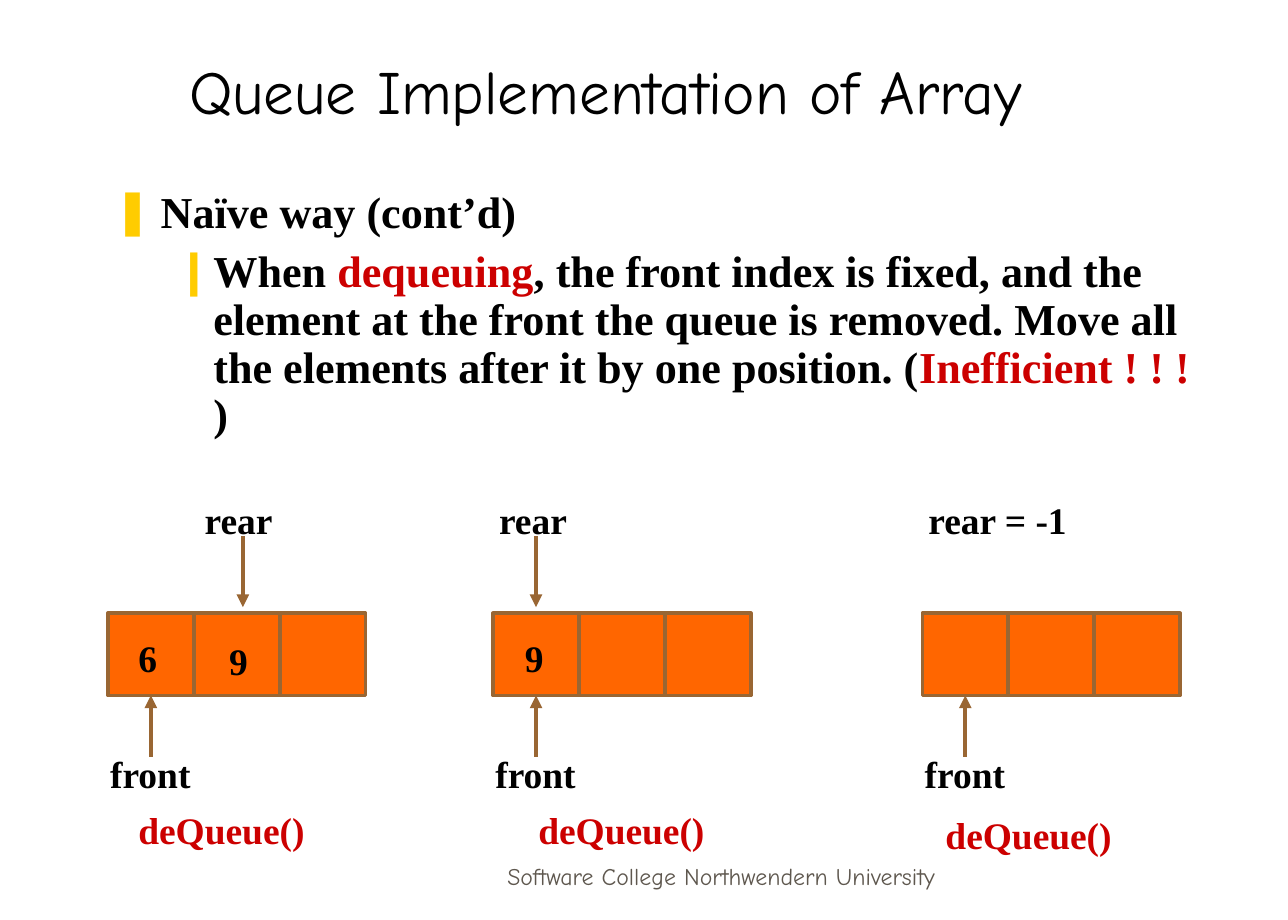
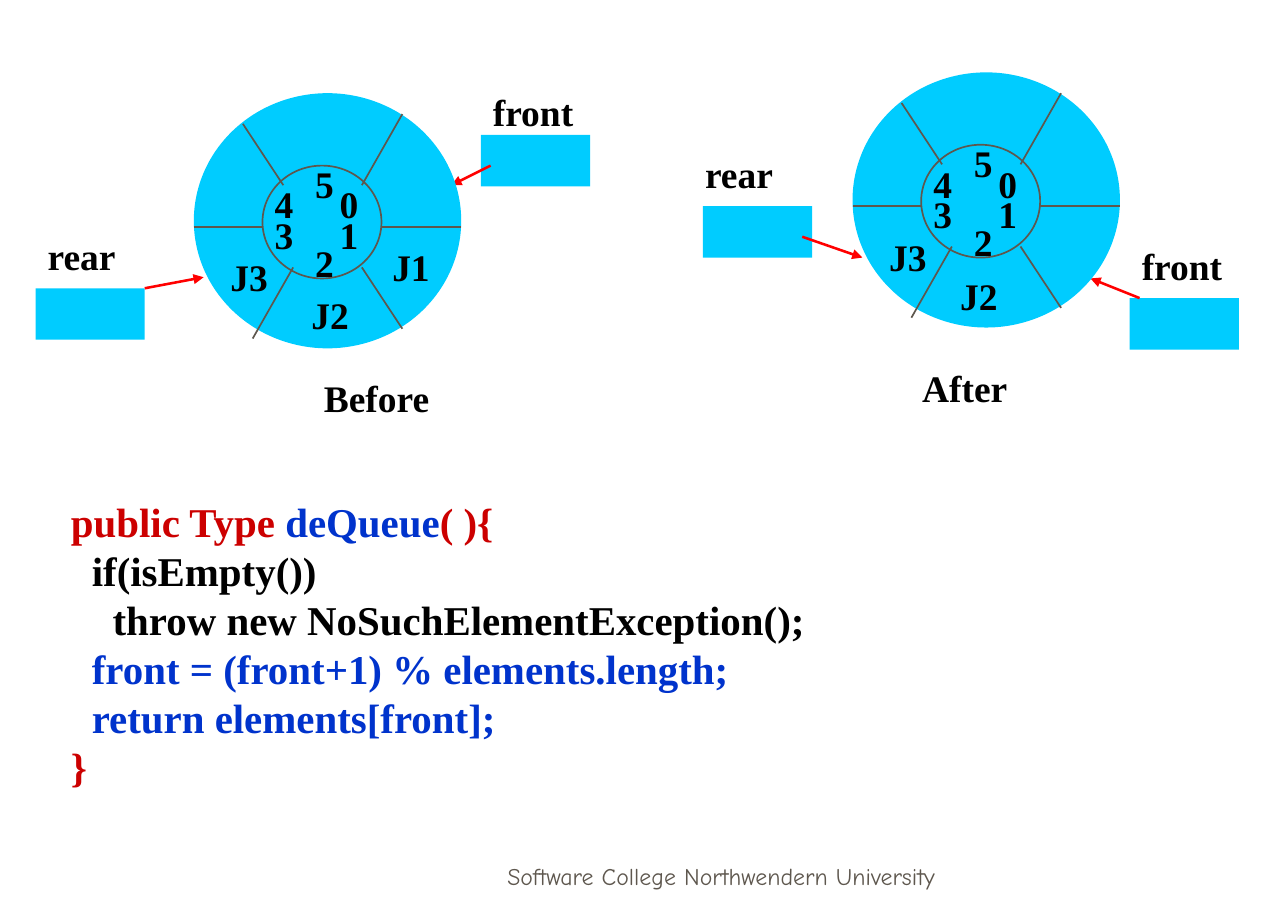
import pptx
import pptx.dml.color
import pptx.enum.shapes
import pptx.enum.text
import pptx.oxml
import pptx.oxml.ns
import pptx.util

PX = 9144
SERIF, COMIC = "Times New Roman", "Comic Neue"
COLOURS = {
    "ink": "000000", "red": "CC0000", "blue": "0033CC", "paper": "FFFFFF",
    "footer": "5E574E", "bullet": "FFCC00", "cell": "FF6600",
    "brown": "996633", "cyan": "00CCFF", "spoke": "5E574E", "arrow": "FF0000",
}
MSO_SHAPE = pptx.enum.shapes.MSO_SHAPE
ANCHOR = pptx.enum.text.MSO_ANCHOR
ALIGN = pptx.enum.text.PP_ALIGN

FOOTER = "Software College Northwendern University"
TITLE = "Queue Implementation of Array"
POINTS = [
    {"mark": "❚", "margin": 38, "hang": 38, "runs": [("Naïve way (cont’d)", "ink")]},
    {"mark": "❙", "margin": 81, "hang": 31, "runs": [
        ("When ", "ink"),
        ("dequeuing", "red"),
        (", the front index is fixed, and the element at the front the queue is removed. "
         "Move all the elements after it by one position. (", "ink"),
        ("Inefficient ! ! ! ", "red"),
        (")", "ink"),
    ]},
]

CELL_WIDTH, CELL_HEIGHT, CELL_TOP, CELL_COUNT = 70, 67, 500, 3
QUEUES = [
    {"left": 88, "rear": "rear", "rear_at": 157, "rear_arrow": 198,
     "values": [("6", 103, 513), ("9", 177, 515)], "call_at": (103, 653)},
    {"left": 402, "rear": "rear", "rear_at": 397, "rear_arrow": 437,
     "values": [("9", 418, 513)], "call_at": (429, 653)},
    {"left": 752, "rear": "rear = -1", "rear_at": 747, "rear_arrow": None,
     "values": [], "call_at": (761, 657)},
]

RING_SIZE = (218, 208)
HUB = (56, 59, 97, 92)
SPOKES = [
    (56, 109, 0, 109), (153, 109, 218, 109), (40, 25, 73, 75),
    (170, 17, 137, 75), (137, 142, 170, 192), (81, 142, 48, 200),
]
SLOTS = [("5", 89, 50), ("4", 56, 67), ("0", 109, 67),
         ("3", 56, 92), ("1", 109, 92), ("2", 89, 115)]
POINTER_SIZE = (89, 42)
RINGS = [
    {"origin": (158, 76),
     "jobs": [("J1", 310, 194), ("J3", 178, 202), ("J2", 244, 233)],
     "pointers": [("rear", (29, 185), (29, 235), (118, 235, 166, 226)),
                  ("front", (392, 68), (392, 110), (400, 135, 368, 151))],
     "caption": ("Before", 174, 301, ALIGN.CENTER)},
    {"origin": (695, 59),
     "jobs": [("J3", 715, 186), ("J2", 773, 218)],
     "pointers": [("rear", (565, 118), (573, 168), (654, 193, 703, 210)),
                  ("front", (921, 193), (921, 243), (929, 243, 889, 227))],
     "caption": ("After", 742, 293, ALIGN.LEFT)},
]

CODE_STEP = 17
CODE = [
    (0, [("public Type ", "red"), ("deQueue", "blue"), ("( ){", "red")]),
    (1, [("if(isEmpty())", "ink")]),
    (2, [("throw new NoSuchElementException();", "ink")]),
    (1, [("front = (front+1) % elements.length;", "blue")]),
    (1, [("return elements[front];", "blue")]),
    (0, [("}", "red")]),
]


def rgb(name):
    return pptx.dml.color.RGBColor.from_string(COLOURS[name])


def emu(*lengths):
    return [length * PX for length in lengths]


def place(part, left, top, width, height):
    part.left, part.top, part.width, part.height = emu(left, top, width, height)


def write(paragraph, runs, size, font=SERIF, bold=True):
    for words, colour in runs:
        run = paragraph.add_run()
        run.text = words
        run.font.name = font
        run.font.size = pptx.util.Pt(size)
        run.font.bold = bold
        run.font.color.rgb = rgb(colour)


def add_label(shapes, words, left, top, width=114, colour="ink", align=ALIGN.LEFT):
    frame = shapes.add_textbox(*emu(left, top, width, 47)).text_frame
    frame.word_wrap = True
    frame.paragraphs[0].alignment = align
    write(frame.paragraphs[0], [(words, colour)], 22)


def add_figure(shapes, preset, box, fill, line=None, weight=1):
    figure = shapes.add_shape(preset, *emu(*box))
    figure.shadow.inherit = False
    figure.fill.solid()
    figure.fill.fore_color.rgb = rgb(fill)
    if line:
        figure.line.color.rgb = rgb(line)
        figure.line.width = pptx.util.Pt(weight)
    else:
        figure.line.fill.background()
    return figure


def add_line(shapes, ends, colour, weight, arrow=True):
    line = shapes.add_connector(pptx.enum.shapes.MSO_CONNECTOR.STRAIGHT, *emu(*ends))
    line.line.color.rgb = rgb(colour)
    line.line.width = pptx.util.Pt(weight)
    if arrow:
        head = pptx.oxml.ns.qn("a:tailEnd")
        line.line._get_or_add_ln().append(
            line._element.makeelement(head, {"type": "triangle"}))
    properties = line._element.spPr
    properties.append(properties.makeelement(pptx.oxml.ns.qn("a:effectLst"), {}))


def add_footer(slide):
    frame = slide.shapes.add_textbox(*emu(359, 681, 458, 50)).text_frame
    frame.word_wrap = True
    frame.vertical_anchor = ANCHOR.BOTTOM
    frame.paragraphs[0].alignment = ALIGN.CENTER
    write(frame.paragraphs[0], [(FOOTER, "footer")], 14, COMIC, False)


def add_bullet(paragraph, point):
    properties = paragraph._p.get_or_add_pPr()
    properties.set("marL", str(point["margin"] * PX))
    properties.set("indent", str(-point["hang"] * PX))
    colour = properties.makeelement(pptx.oxml.ns.qn("a:buClr"), {})
    colour.append(colour.makeelement(
        pptx.oxml.ns.qn("a:srgbClr"), {"val": COLOURS["bullet"]}))
    properties.append(colour)
    properties.append(properties.makeelement(
        pptx.oxml.ns.qn("a:buChar"), {"char": point["mark"]}))


def fill_title(title):
    place(title, 47, 25, 893, 83)
    frame = title.text_frame
    frame.auto_size = pptx.enum.text.MSO_AUTO_SIZE.NONE
    frame.vertical_anchor = ANCHOR.BOTTOM
    frame.paragraphs[0].alignment = ALIGN.CENTER
    write(frame.paragraphs[0], [(TITLE, "ink")], 36, COMIC, False)


def fill_points(body):
    place(body, 83, 150, 901, 250)
    frame = body.text_frame
    frame.auto_size = pptx.enum.text.MSO_AUTO_SIZE.NONE
    for level, point in enumerate(POINTS):
        paragraph = frame.add_paragraph() if level else frame.paragraphs[0]
        paragraph.level = level
        paragraph.line_spacing = 0.9
        paragraph.space_before = pptx.util.Pt(7)
        add_bullet(paragraph, point)
        write(paragraph, point["runs"], 25.9)


def add_queue(shapes, queue):
    left = queue["left"]
    for index in range(CELL_COUNT):
        box = (left + index * CELL_WIDTH, CELL_TOP, CELL_WIDTH, CELL_HEIGHT)
        add_figure(shapes, MSO_SHAPE.RECTANGLE, box, "cell", "brown", 2.25)
    for value, x, y in queue["values"]:
        add_label(shapes, value, x, y, 35)

    front = shapes.add_group_shape().shapes
    middle = left + CELL_WIDTH // 2
    add_label(front, "front", middle - 43, 607)
    add_line(front, (middle, 617, middle, CELL_TOP + CELL_HEIGHT), "brown", 2.5)

    arrow = queue["rear_arrow"]
    if arrow:
        rear = shapes.add_group_shape().shapes
        add_label(rear, queue["rear"], queue["rear_at"], 400)
        add_line(rear, (arrow, 437, arrow, 495), "brown", 2.5)
    else:
        add_label(shapes, queue["rear"], queue["rear_at"], 400, 211)
    add_label(shapes, "deQueue()", *queue["call_at"], 203, "red")


def add_ring(shapes, ring):
    for name, label_at, box_at, arrow in ring["pointers"]:
        add_figure(shapes, MSO_SHAPE.RECTANGLE, box_at + POINTER_SIZE, "cyan")
        add_label(shapes, name, *label_at)
        add_line(shapes, arrow, "arrow", 1.5)

    x, y = ring["origin"]
    wheel = shapes.add_group_shape().shapes
    add_figure(wheel, MSO_SHAPE.OVAL, (x, y) + RING_SIZE, "cyan")
    hub_left, hub_top, hub_width, hub_height = HUB
    add_figure(wheel, MSO_SHAPE.OVAL, (x + hub_left, y + hub_top, hub_width, hub_height),
               "cyan", "spoke")
    for x1, y1, x2, y2 in SPOKES:
        add_line(wheel, (x + x1, y + y1, x + x2, y + y2), "spoke", 1, False)
    for slot, dx, dy in SLOTS:
        add_label(wheel, slot, x + dx, y + dy, 48)

    for job, job_left, job_top in ring["jobs"]:
        add_label(shapes, job, job_left, job_top, 57)
    caption, caption_left, caption_top, align = ring["caption"]
    add_label(shapes, caption, caption_left, caption_top, 266, align=align)


def add_code(shapes):
    panel = add_figure(shapes, MSO_SHAPE.RECTANGLE, (48, 359, 961, 331), "paper", "paper")
    frame = panel.text_frame
    frame.word_wrap = True
    frame.vertical_anchor = ANCHOR.MIDDLE
    for number, (depth, runs) in enumerate(CODE):
        paragraph = frame.add_paragraph() if number else frame.paragraphs[0]
        paragraph.alignment = ALIGN.LEFT
        paragraph._p.get_or_add_pPr().set("marL", str(depth * CODE_STEP * PX))
        write(paragraph, runs, 24)


def main():
    deck = pptx.Presentation()
    deck.slide_width, deck.slide_height = emu(1050, 750)

    array_slide = deck.slides.add_slide(deck.slide_layouts[1])
    add_footer(array_slide)
    fill_title(array_slide.shapes.title)
    fill_points(array_slide.placeholders[1])
    for queue in QUEUES:
        add_queue(array_slide.shapes, queue)

    ring_slide = deck.slides.add_slide(deck.slide_layouts[6])
    add_footer(ring_slide)
    for ring in RINGS:
        add_ring(ring_slide.shapes, ring)
    add_code(ring_slide.shapes)

    deck.save("out.pptx")


if __name__ == "__main__":
    main()
